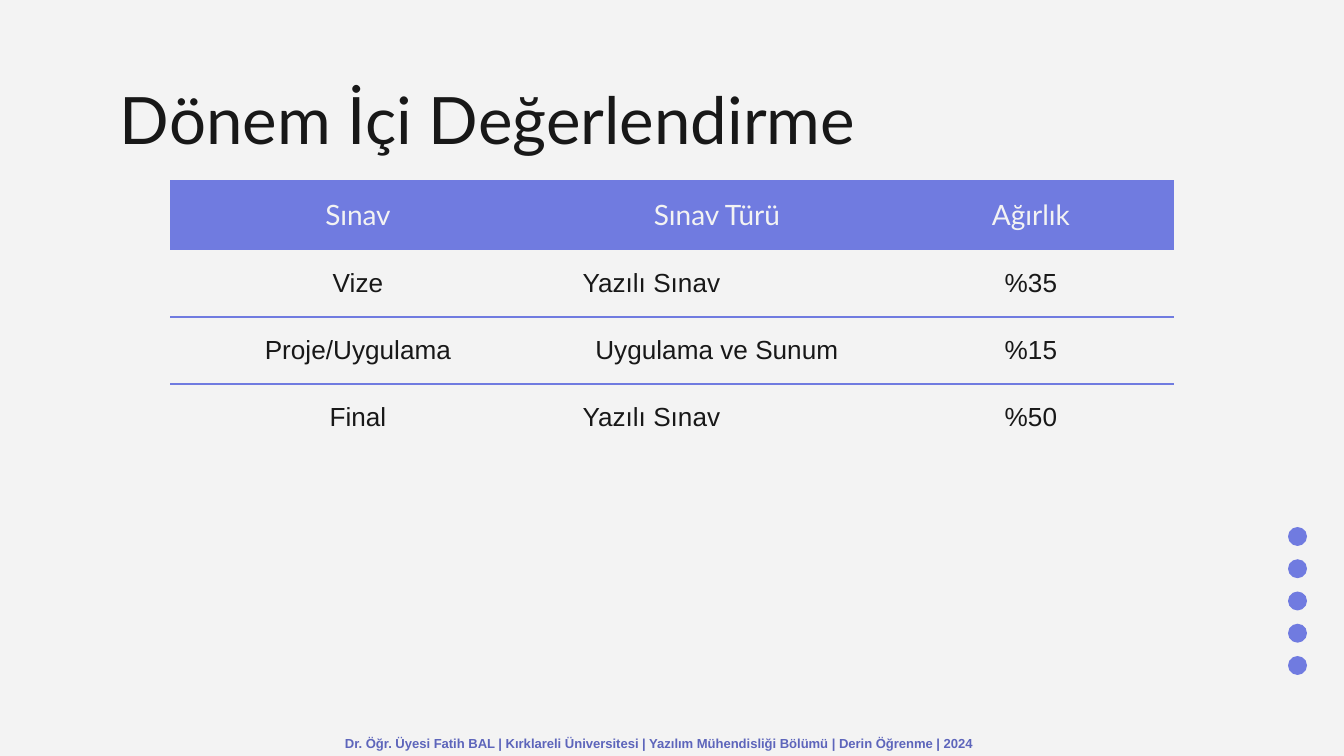
import pptx
import pptx.dml.color
import pptx.enum.shapes
import pptx.enum.text
import pptx.oxml
import pptx.oxml.ns
import pptx.util

PX_PER_INCH = 134.4
ACCENT = "707BE0"
INK = "181818"
PAPER = "F3F3F3"
INSET = 13
TABLE_ROWS = [
    ("Sınav", "Sınav Türü", "Ağırlık"),
    ("Vize", "Yazılı Sınav", "%35"),
    ("Proje/Uygulama", "Uygulama ve Sunum", "%15"),
    ("Final", "Yazılı Sınav", "%50"),
]
COLUMN_WIDTHS = [376, 342, 286]
ROW_HEIGHTS = [70, 67, 67, 67]
PLAIN_TABLE_STYLE = "{2D5ABB26-0587-4C30-8999-92F81FD0307C}"


def px(length):
    return pptx.util.Emu(round(length * 914400 / PX_PER_INCH))


def color(value):
    return pptx.dml.color.RGBColor.from_string(value)


def paint(fill, value):
    fill.solid()
    fill.fore_color.rgb = color(value)


def write_text(frame, text, *, size, font="Arial", ink=INK, bold=False,
               align="LEFT", spacing=None):
    paragraph = frame.paragraphs[0]
    paragraph.alignment = getattr(pptx.enum.text.PP_ALIGN, align)
    if spacing:
        paragraph.line_spacing = spacing
    run = paragraph.add_run()
    run.text = text
    run.font.size = pptx.util.Pt(size)
    run.font.name = font
    run.font.bold = bold
    run.font.color.rgb = color(ink)


def set_margins(target):
    target.margin_left = target.margin_right = px(INSET)
    target.margin_top = target.margin_bottom = px(INSET)


def add_text(slide, box, text, *, anchor="TOP", **text_format):
    shape = slide.shapes.add_textbox(*map(px, box))
    frame = shape.text_frame
    frame.word_wrap = True
    frame.vertical_anchor = getattr(pptx.enum.text.MSO_ANCHOR, anchor)
    set_margins(frame)
    write_text(frame, text, **text_format)


def add_dots(slide, box, count):
    left, top, size, height = box
    step = (height - size) / (count - 1)
    for index in range(count):
        dot = slide.shapes.add_shape(
            pptx.enum.shapes.MSO_SHAPE.OVAL,
            *map(px, (left, top + index * step, size, size)))
        dot.shadow.inherit = False
        paint(dot.fill, ACCENT)
        dot.line.fill.background()


def add_borders(cell, sides):
    properties = cell._tc.get_or_add_tcPr()
    namespace = pptx.oxml.ns.nsdecls("a")
    for index, side in enumerate(sides):
        properties.insert(index, pptx.oxml.parse_xml(
            f'<a:ln{side} {namespace} w="9525"><a:solidFill>'
            f'<a:srgbClr val="{ACCENT}"/></a:solidFill></a:ln{side}>'))


def fill_cell(cell, text, row_index):
    cell.vertical_anchor = pptx.enum.text.MSO_ANCHOR.MIDDLE
    set_margins(cell)
    if row_index == 0:
        paint(cell.fill, ACCENT)
        write_text(cell.text_frame, text, size=15, font="Lato",
                   ink=PAPER, align="CENTER")
        return
    cell.fill.background()
    write_text(cell.text_frame, text, size=14, align="CENTER")
    if text == "Yazılı Sınav":
        cell.margin_right = px(144)
    sides = []
    if row_index > 1:
        sides.append("T")
    if row_index < len(TABLE_ROWS) - 1:
        sides.append("B")
    add_borders(cell, sides)


def add_exam_table(slide, box):
    frame = slide.shapes.add_table(
        len(TABLE_ROWS), len(COLUMN_WIDTHS), *map(px, box))
    table = frame.table
    table.first_row = table.horz_banding = False
    style = table._tbl.tblPr.find(pptx.oxml.ns.qn("a:tableStyleId"))
    style.text = PLAIN_TABLE_STYLE
    for column, width in zip(table.columns, COLUMN_WIDTHS):
        column.width = px(width)
    for row_index, (row, height) in enumerate(zip(table.rows, ROW_HEIGHTS)):
        row.height = px(height)
        for cell, text in zip(row.cells, TABLE_ROWS[row_index]):
            fill_cell(cell, text, row_index)


def main():
    presentation = pptx.Presentation()
    presentation.slide_width = px(1344)
    presentation.slide_height = px(756)
    slide = presentation.slides.add_slide(presentation.slide_layouts[6])
    paint(slide.background.fill, PAPER)
    add_dots(slide, (1288, 527, 19, 148), 5)
    add_text(slide, (107, 66, 1133, 85), "Dönem İçi Değerlendirme",
             size=35, font="Lato")
    add_exam_table(slide, (170, 180, sum(COLUMN_WIDTHS), sum(ROW_HEIGHTS)))
    add_text(slide, (332, 729, 680, 27),
             "Dr. Öğr. Üyesi Fatih BAL | Kırklareli Üniversitesi | "
             "Yazılım Mühendisliği Bölümü | Derin Öğrenme | 2024",
             anchor="MIDDLE", size=7, ink="5D65BB", bold=True, spacing=1.15)
    presentation.save("out.pptx")


if __name__ == "__main__":
    main()
